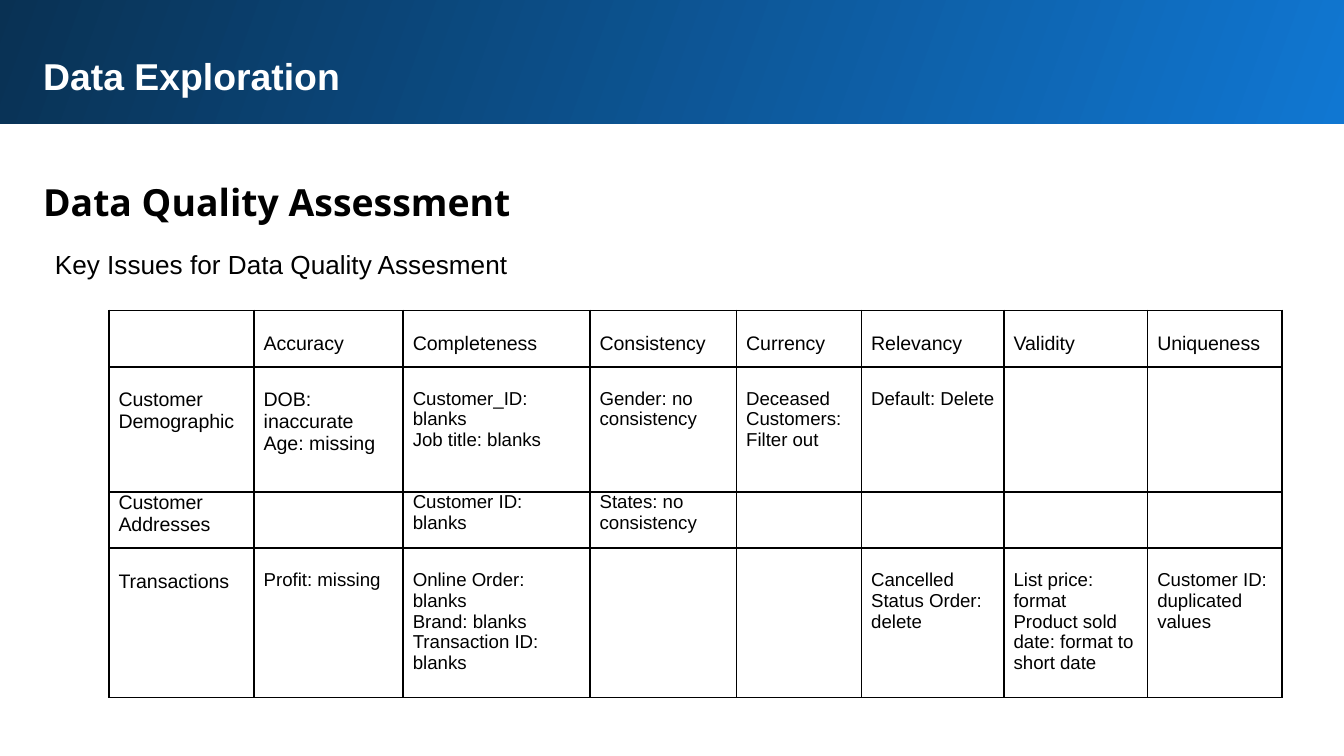
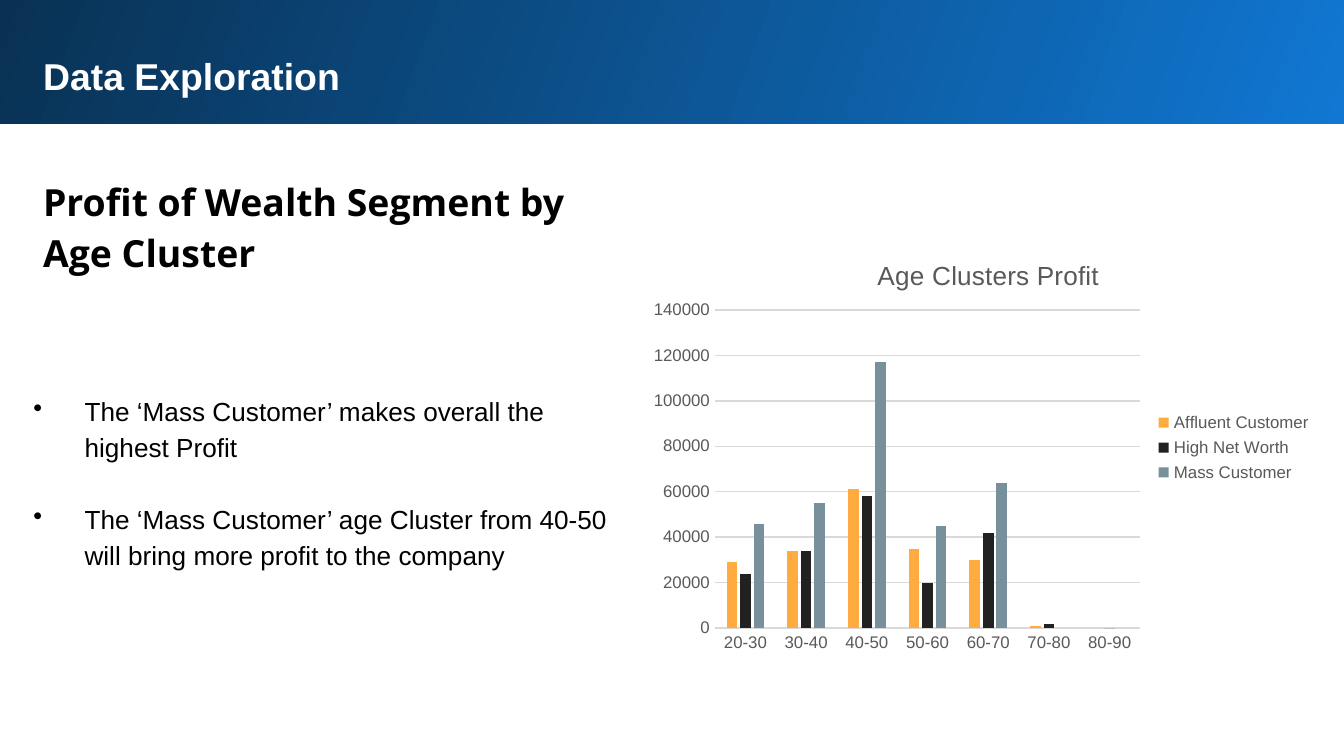
from dataclasses import dataclass
from typing import Any

from lxml.etree import SubElement
from pptx import Presentation
from pptx.chart.data import CategoryChartData
from pptx.dml.color import RGBColor
from pptx.enum.chart import XL_CHART_TYPE, XL_LEGEND_POSITION, XL_TICK_MARK
from pptx.enum.shapes import MSO_SHAPE
from pptx.enum.text import MSO_ANCHOR, MSO_AUTO_SIZE
from pptx.oxml import parse_xml
from pptx.oxml.ns import nsdecls, qn
from pptx.util import Pt

# Shared colours and fonts
WHITE = RGBColor(0xFF, 0xFF, 0xFF)
BLACK = RGBColor(0, 0, 0)
BAND_BRIGHT = RGBColor(0x10, 0x77, 0xD2)
BAND_DARK = RGBColor(0x09, 0x31, 0x53)
CHART_TEXT = RGBColor(0x59, 0x59, 0x59)
GRID = RGBColor(0xD9, 0xD9, 0xD9)
ORANGE = RGBColor(0xFF, 0xAB, 0x40)
CHARCOAL = RGBColor(0x21, 0x21, 0x21)
SLATE = RGBColor(0x78, 0x90, 0x9C)
BODY_FONT = "Arial"
HEADING_FONT = "Open Sans"


@dataclass(frozen=True)
class Box:
    left: float
    top: float
    width: float
    height: float

    def lengths(self) -> tuple:
        return Pt(self.left), Pt(self.top), Pt(self.width), Pt(self.height)


@dataclass(frozen=True)
class TextStyle:
    size: float
    font: str = BODY_FONT
    color: RGBColor = BLACK
    bold: bool = False
    line_spacing: float = 1.0
    bullet_indent: float = 0
    gap: float = 0


@dataclass(frozen=True)
class Segment:
    name: str
    profits: tuple
    color: RGBColor


BAND_TITLE = TextStyle(20, color=WHITE, bold=True)
HEADING = TextStyle(20, HEADING_FONT, bold=True, line_spacing=1.15)
SUBHEADING = TextStyle(14)
FINDING = TextStyle(14, line_spacing=1.15, bullet_indent=27.4, gap=19.3)
TABLE_LABEL = TextStyle(10.5)
TABLE_NOTE = TextStyle(10)


def apply(target: Any, values: dict) -> None:
    for name, value in values.items():
        setattr(target, name, value)


def style_font(font: Any, style: TextStyle) -> None:
    apply(font, {"size": Pt(style.size), "name": style.font, "bold": style.bold})
    font.color.rgb = style.color


def write(frame: Any, lines: list[str], style: TextStyle) -> None:
    for index, line in enumerate(lines):
        paragraph = frame.paragraphs[0] if index == 0 else frame.add_paragraph()
        paragraph.line_spacing = style.line_spacing
        if index and style.gap:
            paragraph.space_before = Pt(style.gap)
        if style.bullet_indent:
            props = paragraph._p.get_or_add_pPr()
            indent = Pt(style.bullet_indent)
            props.set("marL", str(indent))
            props.set("indent", str(-indent))
            SubElement(props, qn("a:buChar")).set("char", "•")
        run = paragraph.add_run()
        run.text = line
        style_font(run.font, style)


def add_text(slide: Any, box: Box, lines: list[str], style: TextStyle) -> None:
    frame = slide.shapes.add_textbox(*box.lengths()).text_frame
    apply(frame, {
        "word_wrap": True, "auto_size": MSO_AUTO_SIZE.SHAPE_TO_FIT_TEXT,
        "margin_left": Pt(7.2), "margin_right": Pt(7.2),
        "margin_top": Pt(7.2), "margin_bottom": Pt(7.2),
    })
    write(frame, lines, style)


def add_header(slide: Any, band_left: float, heading: list[str], heading_height: float) -> None:
    band = slide.shapes.add_shape(MSO_SHAPE.RECTANGLE, *Box(band_left, 0, 723.6, 66.3).lengths())
    band.shadow.inherit = False
    band.line.fill.background()
    band.fill.gradient()
    band.fill.gradient_angle = 160
    for stop, color in zip(band.fill.gradient_stops, (BAND_BRIGHT, BAND_DARK)):
        stop.color.rgb = color
    add_text(slide, Box(16, 21, 675, 37), ["Data Exploration"], BAND_TITLE)
    add_text(slide, Box(16, 85, 675, heading_height), heading, HEADING)


# Quality table
COLUMN_WIDTHS = (77.8, 79.9, 100.1, 78.5, 67, 76.3, 77, 72)
ROW_HEIGHTS = (30.2, 67, 30.2, 80)
ADDRESSES_ROW = 2
DOB_CELL = (1, 1)
ISSUES = (
    ("", "Accuracy", "Completeness", "Consistency", "Currency", "Relevancy",
     "Validity", "Uniqueness"),
    ("Customer Demographic", "DOB: inaccurate\nAge: missing",
     "Customer_ID: blanks\nJob title: blanks", "Gender: no consistency",
     "Deceased Customers: Filter out", "Default: Delete", "", ""),
    ("Customer Addresses", "", "Customer ID: blanks", "States: no consistency",
     "", "", "", ""),
    ("Transactions", "Profit: missing",
     "Online Order: blanks\nBrand: blanks\nTransaction ID: blanks", "", "",
     "Cancelled Status Order: delete",
     "List price: format\nProduct sold date: format to short date",
     "Customer ID: duplicated values"),
)


def add_borders(cell: Any) -> None:
    props = cell._tc.get_or_add_tcPr()
    for position, side in enumerate(("lnL", "lnR", "lnT", "lnB")):
        props.insert(position, parse_xml(
            f'<a:{side} {nsdecls("a")} w="{Pt(1)}"><a:solidFill>'
            f'<a:srgbClr val="{BLACK}"/></a:solidFill></a:{side}>'))


def add_issue_table(slide: Any) -> None:
    box = Box(58.3, 166.3, sum(COLUMN_WIDTHS), sum(ROW_HEIGHTS))
    table = slide.shapes.add_table(len(ISSUES), len(COLUMN_WIDTHS), *box.lengths()).table
    apply(table, {"first_row": False, "horz_banding": False})
    for column, width in zip(table.columns, COLUMN_WIDTHS):
        column.width = Pt(width)
    for r, (row, height) in enumerate(zip(ISSUES, ROW_HEIGHTS)):
        table.rows[r].height = Pt(height)
        for c, issue in enumerate(row):
            cell = table.cell(r, c)
            is_label = r == 0 or c == 0 or (r, c) == DOB_CELL
            style = TABLE_LABEL if is_label else TABLE_NOTE
            top = 0 if r == ADDRESSES_ROW or not issue else style.size * 1.15
            apply(cell, {
                "margin_left": Pt(5.2), "margin_right": Pt(5.2),
                "margin_top": Pt(top), "margin_bottom": Pt(0),
                "vertical_anchor": MSO_ANCHOR.TOP,
            })
            cell.fill.background()
            add_borders(cell)
            if issue:
                write(cell.text_frame, issue.split("\n"), style)


# Profit chart
AGE_CLUSTERS = tuple(f"{age}-{age + 10}" for age in range(20, 90, 10))
SEGMENTS = (
    Segment("Affluent Customer", (29000, 34000, 61000, 35000, 30000, 1000, None), ORANGE),
    Segment("High Net Worth", (24000, 34000, 58000, 20000, 42000, 2000, 0), CHARCOAL),
    Segment("Mass Customer", (46000, 55000, 117000, 45000, 64000, None, None), SLATE),
)


def place(element: Any, position: int, **fractions: float) -> None:
    """Give a chart part a manual layout in fractions of the chart."""
    for old in element.findall(qn("c:layout")):
        element.remove(old)
    inner = '<c:layoutTarget val="inner"/>' if "w" in fractions else ""
    modes = "".join(f'<c:{axis}Mode val="edge"/>' for axis in "xy")
    sizes = "".join(f'<c:{key} val="{value}"/>' for key, value in fractions.items())
    element.insert(position, parse_xml(
        f'<c:layout {nsdecls("c")}><c:manualLayout>{inner}{modes}{sizes}'
        '</c:manualLayout></c:layout>'))


def add_profit_chart(slide: Any) -> None:
    data = CategoryChartData()
    data.categories = AGE_CLUSTERS
    for segment in SEGMENTS:
        data.add_series(segment.name, segment.profits)
    chart = slide.shapes.add_chart(
        XL_CHART_TYPE.COLUMN_CLUSTERED, *Box(342.7, 124.6, 367.2, 230.4).lengths(), data).chart
    style_font(chart.font, TextStyle(10))

    # Title and legend
    chart.has_title = True
    write(chart.chart_title.text_frame, ["Age Clusters Profit"], TextStyle(14, color=CHART_TEXT))
    chart.chart_title.include_in_layout = False
    place(chart.chart_title._element, 1, x=0.34, y=0.05)
    small = TextStyle(9, color=CHART_TEXT)
    chart.has_legend = True
    apply(chart.legend, {"position": XL_LEGEND_POSITION.RIGHT, "include_in_layout": False})
    style_font(chart.legend.font, small)

    # Axes
    for axis in (chart.category_axis, chart.value_axis):
        apply(axis, {"major_tick_mark": XL_TICK_MARK.NONE, "minor_tick_mark": XL_TICK_MARK.NONE})
        style_font(axis.tick_labels.font, small)
    apply(chart.value_axis, {"minimum_scale": 0, "maximum_scale": 140000, "major_unit": 20000,
                             "has_major_gridlines": True})
    chart.value_axis.format.line.fill.background()
    for line in (chart.category_axis.format.line, chart.value_axis.major_gridlines.format.line):
        line.color.rgb = GRID
        line.width = Pt(0.75)

    # Columns
    plot = chart.plots[0]
    apply(plot, {"gap_width": 219, "overlap": -27, "vary_by_categories": False})
    for series, segment in zip(plot.series, SEGMENTS):
        series.invert_if_negative = False
        series.format.fill.solid()
        series.format.fill.fore_color.rgb = segment.color
    plot_area = chart._chartSpace.find(".//" + qn("c:plotArea"))
    place(plot_area, 0, x=0.11, y=0.18, w=0.62, h=0.74)


presentation = Presentation()
apply(presentation, {"slide_width": Pt(720), "slide_height": Pt(405)})
blank = presentation.slide_layouts[6]

# Slide 1: data quality
quality = presentation.slides.add_slide(blank)
add_header(quality, -3.6, ["Data Quality Assessment"], 40.3)
add_text(quality, Box(22.3, 126, 325.4, 31.7), ["Key Issues for Data Quality Assesment"], SUBHEADING)
add_issue_table(quality)

# Slide 2: profit by age
profit = presentation.slides.add_slide(blank)
add_profit_chart(profit)
add_header(profit, -2.2, ["Profit of Wealth Segment by", "Age Cluster"], 68.4)
add_text(profit, Box(10.8, 202.3, 325.4, 161.3), [
    "The ‘Mass Customer’ makes overall the highest Profit",
    "The ‘Mass Customer’ age Cluster from 40-50 will bring more profit to the company",
], FINDING)

presentation.save("out.pptx")
